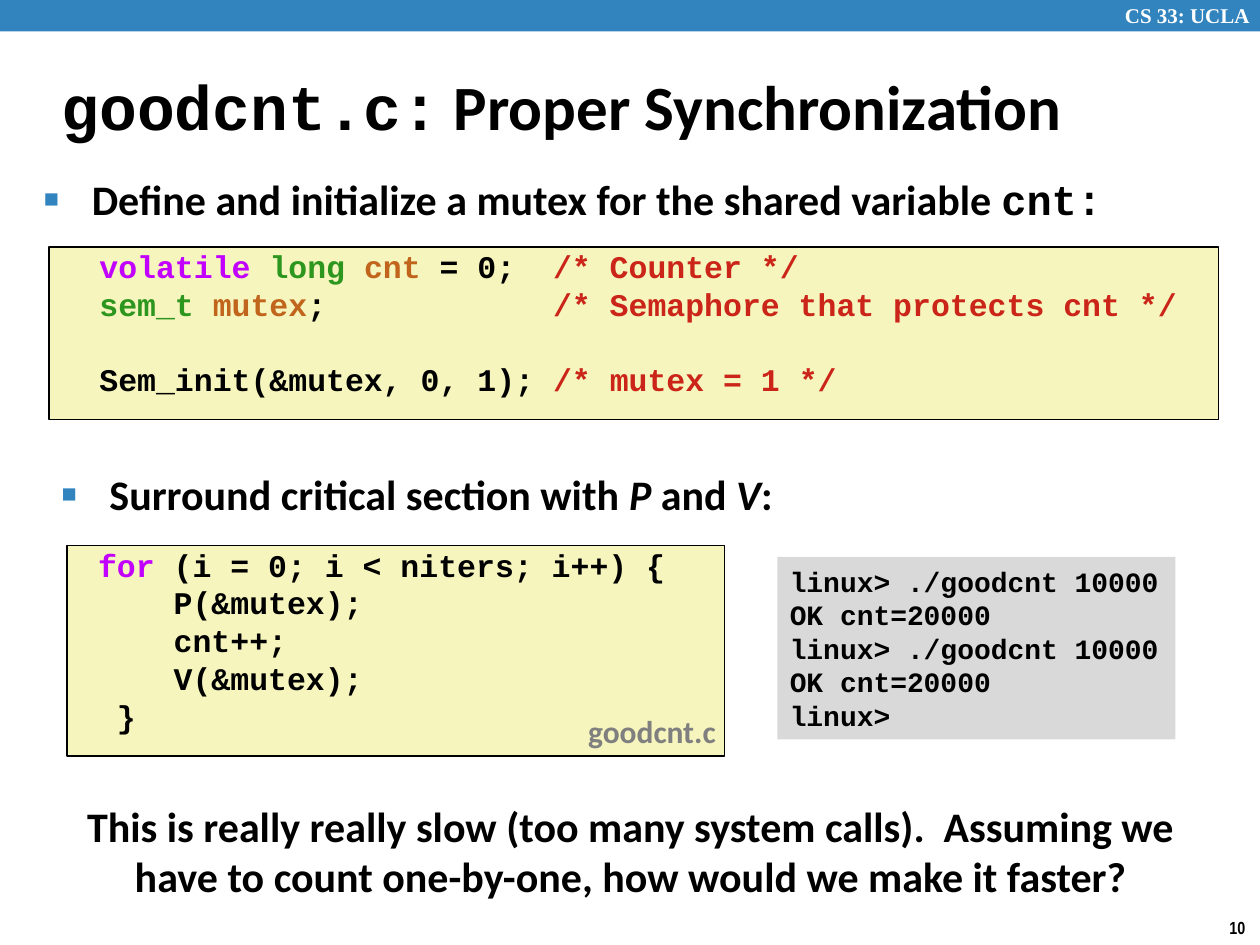
import pptx
import pptx.util
import pptx.dml.color
import pptx.enum.shapes
import pptx.enum.text
from lxml import etree

RGB = pptx.dml.color.RGBColor
Pt = pptx.util.Pt
Inches = pptx.util.Inches
ALIGN = pptx.enum.text.PP_ALIGN
ANCHOR = pptx.enum.text.MSO_ANCHOR
FIT = pptx.enum.text.MSO_AUTO_SIZE
RECT = pptx.enum.shapes.MSO_SHAPE.RECTANGLE

BLACK = RGB(0x00, 0x00, 0x00)
WHITE = RGB(0xFF, 0xFF, 0xFF)
BLUE = RGB(0x32, 0x84, 0xBF)
CREAM = RGB(0xF6, 0xF5, 0xBD)
SILVER = RGB(0xD9, 0xD9, 0xD9)
GRAY = RGB(0x7F, 0x7F, 0x7F)
PURPLE = RGB(0xC2, 0x00, 0xFF)
GREEN = RGB(0x2D, 0x96, 0x1E)
BROWN = RGB(0xC1, 0x65, 0x1C)
RED = RGB(0xCB, 0x24, 0x18)

SANS, MONO = "Calibri", "Courier New"
WIDE, HIGH = 10, 7.5

# A line is a list of runs; a run is text, or text with its own style.
TITLE = [[("goodcnt.c:", MONO), " Proper Synchronization"]]
DEFINE = [["Define and initialize a mutex for the shared variable ", ("cnt:", MONO)]]
SETUP = [
    ["  ", ("volatile ", PURPLE), ("long ", GREEN), ("cnt", BROWN), " = 0;  ",
     ("/* Counter */", RED)],
    ["  ", ("sem_t ", GREEN), ("mutex", BROWN), ";            ",
     ("/* Semaphore that protects cnt */", RED)],
    [" "],
    ["  Sem_init(&mutex, 0, 1); ", ("/* mutex = 1 */", RED)],
]
SURROUND = [["Surround critical section with ", ("P", "italic"), " and ",
             ("V", "italic"), ":"]]
LOOP = [
    [" ", ("for", PURPLE), " (i = 0; i < niters; i++) {"],
    ["     P(&mutex);"],
    ["     cnt++;"],
    ["     V(&mutex);"],
    ["  }"],
]
SHELL = [["linux> ./goodcnt 10000"], ["OK cnt=20000"]] * 2 + [["linux>"]]
ASK = [["This is really really slow (too many system calls).  Assuming we "
        "have to count one-by-one, how would we make it faster?"]]

# Places: left, top, width, height in percent of the slide
PLACE = {
    "bar": (0, 0, 100, 3.33),
    "course": (88.3, -0.4, 12.4, 4),
    "page": (96.6, 96.4, 3.4, 3.6),
    "title": (3.9, 5.6, 83, 11.07),
    "define": (2.5, 17.73, 90.9, 6.67),
    "setup": (3.9, 26.13, 92.8, 18.27),
    "surround": (3.9, 48.93, 90.9, 6.67),
    "loop": (5.3, 57.73, 52.2, 22.27),
    "shell": (61.7, 58.93, 31.6, 19.33),
    "ask": (4.2, 84, 91.7, 12.13),
    "file": (45.7, 74.67, 12.3, 5.33),
}

deck = pptx.Presentation()
deck.slide_width, deck.slide_height = Inches(WIDE), Inches(HIGH)
slide = deck.slides.add_slide(deck.slide_layouts[6])


def spot(name):
    """Turn a place in percent into lengths."""
    return [Inches(part * side / 100)
            for part, side in zip(PLACE[name], (WIDE, HIGH) * 2)]


def panel(name, fill, line=None):
    box = slide.shapes.add_shape(RECT, *spot(name))
    box.shadow.inherit = False
    box.fill.solid()
    box.fill.fore_color.rgb = fill
    if line is None:
        box.line.fill.background()
    else:
        box.line.color.rgb = line
        box.line.width = Pt(1)
    return box


def label(name):
    return slide.shapes.add_textbox(*spot(name))


def bullet(para):
    props = para._p.get_or_add_pPr()
    props.set("marL", str(Inches(0.38)))
    props.set("indent", str(-Inches(0.38)))
    color = etree.SubElement(props, pptx.oxml.ns.qn("a:buClr"))
    for parent, tag, key, value in (
        (color, "a:srgbClr", "val", str(BLUE)),
        (props, "a:buSzPct", "val", "60000"),
        (props, "a:buFont", "typeface", "Arial"),
        (props, "a:buChar", "char", "■"),
    ):
        etree.SubElement(parent, pptx.oxml.ns.qn(tag)).set(key, value)


def write(box, lines, size, face=SANS, color=BLACK, align=ALIGN.LEFT,
          anchor=ANCHOR.TOP, wrap=True, grow=False, flush=False, mark=False):
    frame = box.text_frame
    frame.word_wrap = wrap
    frame.vertical_anchor = anchor
    frame.auto_size = FIT.SHAPE_TO_FIT_TEXT if grow else FIT.NONE
    if flush:
        frame.margin_top = frame.margin_bottom = 0
    for i, line in enumerate(lines):
        para = frame.add_paragraph() if i else frame.paragraphs[0]
        para.alignment = align
        if mark:
            bullet(para)
        font = para.font
        font.name, font.size, font.bold = face, Pt(size), True
        font.color.rgb = color
        for part in line:
            text, style = (part, None) if isinstance(part, str) else part
            run = para.add_run()
            run.text = text
            if style == "italic":
                run.font.italic = True
            elif isinstance(style, RGB):
                run.font.color.rgb = style
            elif style:
                run.font.name = style


panel("bar", BLUE)
write(label("course"), [["CS 33: UCLA"]], 12, "Times New Roman", WHITE, grow=True)
write(label("page"), [["10"]], 10, "Arial Narrow", wrap=False, grow=True)
write(label("title"), TITLE, 36, anchor=ANCHOR.MIDDLE)
for name, lines in (("define", DEFINE), ("surround", SURROUND)):
    write(label(name), lines, 24, mark=True)
for name, lines in (("setup", SETUP), ("loop", LOOP)):
    write(panel(name, CREAM, BLACK), lines, 18, MONO, flush=True)
write(panel("shell", SILVER), SHELL, 16, MONO, anchor=ANCHOR.MIDDLE,
      wrap=False, grow=True)
write(label("ask"), ASK, 24, align=ALIGN.CENTER, grow=True)
write(label("file"), [["goodcnt.c"]], 18, color=GRAY, wrap=False, grow=True)

deck.save("out.pptx")
